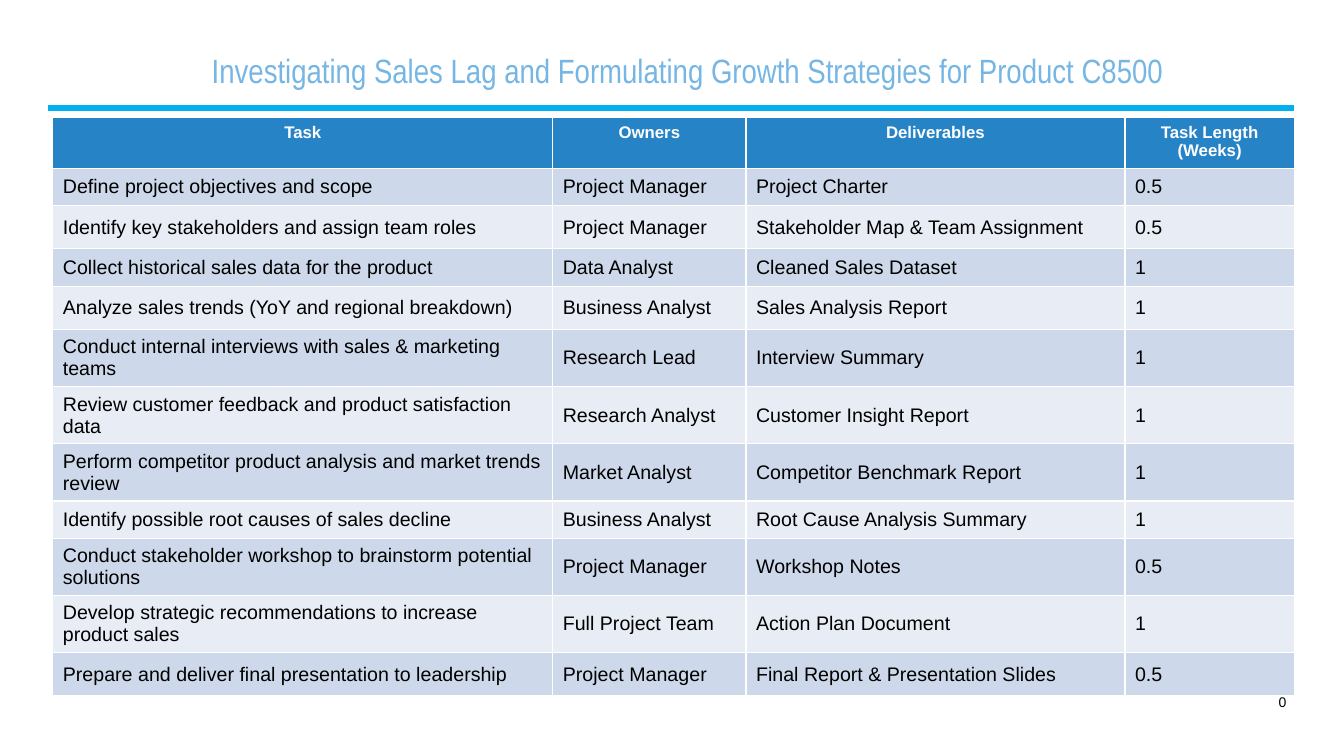
import pptx
import pptx.dml.color
import pptx.enum.shapes
import pptx.enum.text
import pptx.oxml.ns
import pptx.util
from lxml import etree

Cm = pptx.util.Cm
Pt = pptx.util.Pt
RGBColor = pptx.dml.color.RGBColor
ALIGN = pptx.enum.text.PP_ALIGN
ANCHOR = pptx.enum.text.MSO_ANCHOR

BLACK = RGBColor(0x00, 0x00, 0x00)
WHITE = RGBColor(0xFF, 0xFF, 0xFF)
TITLE_BLUE = RGBColor(0x75, 0xB6, 0xE5)
RULE_BLUE = RGBColor(0x00, 0xB0, 0xF0)
HEADER_BLUE = RGBColor(0x26, 0x83, 0xC6)
BANDS = (RGBColor(0xCD, 0xD9, 0xEA), RGBColor(0xE8, 0xED, 0xF5))

COLUMN_WIDTHS = (12.6, 4.87, 9.55, 4.27)
HEADER_HEIGHT = 1.22
SINGLE, ROOMY, DOUBLE = 0.94, 1.09, 1.37

HEADINGS = ("Task", "Owners", "Deliverables", "Task Length (Weeks)")
TASKS = (
    (SINGLE, "Define project objectives and scope", "Project Manager", "Project Charter", "0.5"),
    (ROOMY, "Identify key stakeholders and assign team roles", "Project Manager",
     "Stakeholder Map & Team Assignment", "0.5"),
    (SINGLE, "Collect historical sales data for the product", "Data Analyst",
     "Cleaned Sales Dataset", "1"),
    (ROOMY, "Analyze sales trends (YoY and regional breakdown)", "Business Analyst",
     "Sales Analysis Report", "1"),
    (DOUBLE, "Conduct internal interviews with sales & marketing teams", "Research Lead",
     "Interview Summary", "1"),
    (DOUBLE, "Review customer feedback and product satisfaction data", "Research Analyst",
     "Customer Insight Report", "1"),
    (DOUBLE, "Perform competitor product analysis and market trends review", "Market Analyst",
     "Competitor Benchmark Report", "1"),
    (SINGLE, "Identify possible root causes of sales decline", "Business Analyst",
     "Root Cause Analysis Summary", "1"),
    (DOUBLE, "Conduct stakeholder workshop to brainstorm potential solutions", "Project Manager",
     "Workshop Notes", "0.5"),
    (DOUBLE, "Develop strategic recommendations to increase product sales", "Full Project Team",
     "Action Plan Document", "1"),
    (ROOMY, "Prepare and deliver final presentation to leadership", "Project Manager",
     "Final Report & Presentation Slides", "0.5"),
)


def write_text(frame, text, size, color, align, font="Arial", bold=False):
    frame.text = text
    para = frame.paragraphs[0]
    para.alignment = align
    for span in para.runs:
        span.font.name = font
        span.font.size = Pt(size)
        span.font.bold = bold
        span.font.color.rgb = color


def add_title(page, text):
    title = page.shapes.title
    title.left, title.top, title.width, title.height = Cm(1.22), Cm(0.58), Cm(31.45), Cm(2.39)
    frame = title.text_frame
    frame.auto_size = pptx.enum.text.MSO_AUTO_SIZE.NONE
    frame.vertical_anchor = ANCHOR.MIDDLE
    frame.margin_left = Cm(1)
    write_text(frame, text, 24, TITLE_BLUE, ALIGN.CENTER, "Arial Narrow")


def add_rule(page):
    rule = page.shapes.add_connector(
        pptx.enum.shapes.MSO_CONNECTOR.STRAIGHT, Cm(1.2), Cm(2.72), Cm(32.6), Cm(2.72))
    rule.line.color.rgb = RULE_BLUE
    rule.line.width = Pt(4.5)
    etree.SubElement(rule._element.spPr, pptx.oxml.ns.qn("a:effectLst"))


def add_page_number(page, number):
    box = page.shapes.add_textbox(Cm(23.7), Cm(17.35), Cm(8.97), Cm(1.32))
    box.text_frame.word_wrap = True
    write_text(box.text_frame, number, 10, BLACK, ALIGN.RIGHT)


def fill_cell(cell, color):
    cell.fill.solid()
    cell.fill.fore_color.rgb = color


def add_task_table(page):
    heights = [HEADER_HEIGHT] + [task[0] for task in TASKS]
    table = page.shapes.add_table(
        len(heights), len(COLUMN_WIDTHS), Cm(1.33), Cm(2.97),
        Cm(sum(COLUMN_WIDTHS)), Cm(sum(heights))).table
    for column, width in zip(table.columns, COLUMN_WIDTHS):
        column.width = Cm(width)
    for row, height in zip(table.rows, heights):
        row.height = Cm(height)
    for cell, heading in zip(table.rows[0].cells, HEADINGS):
        fill_cell(cell, HEADER_BLUE)
        write_text(cell.text_frame, heading, 12, WHITE, ALIGN.CENTER, bold=True)
    for index, (height, *texts) in enumerate(TASKS):
        for cell, text in zip(table.rows[index + 1].cells, texts):
            fill_cell(cell, BANDS[index % 2])
            cell.vertical_anchor = ANCHOR.MIDDLE
            write_text(cell.text_frame, text, 14, BLACK, ALIGN.LEFT)


def main():
    deck = pptx.Presentation()
    deck.slide_width, deck.slide_height = Cm(33.87), Cm(19.05)
    page = deck.slides.add_slide(deck.slide_layouts[5])
    add_page_number(page, "0")
    add_rule(page)
    add_title(page, "Investigating Sales Lag and Formulating Growth Strategies for Product C8500")
    add_task_table(page)
    deck.save("out.pptx")


if __name__ == "__main__":
    main()
